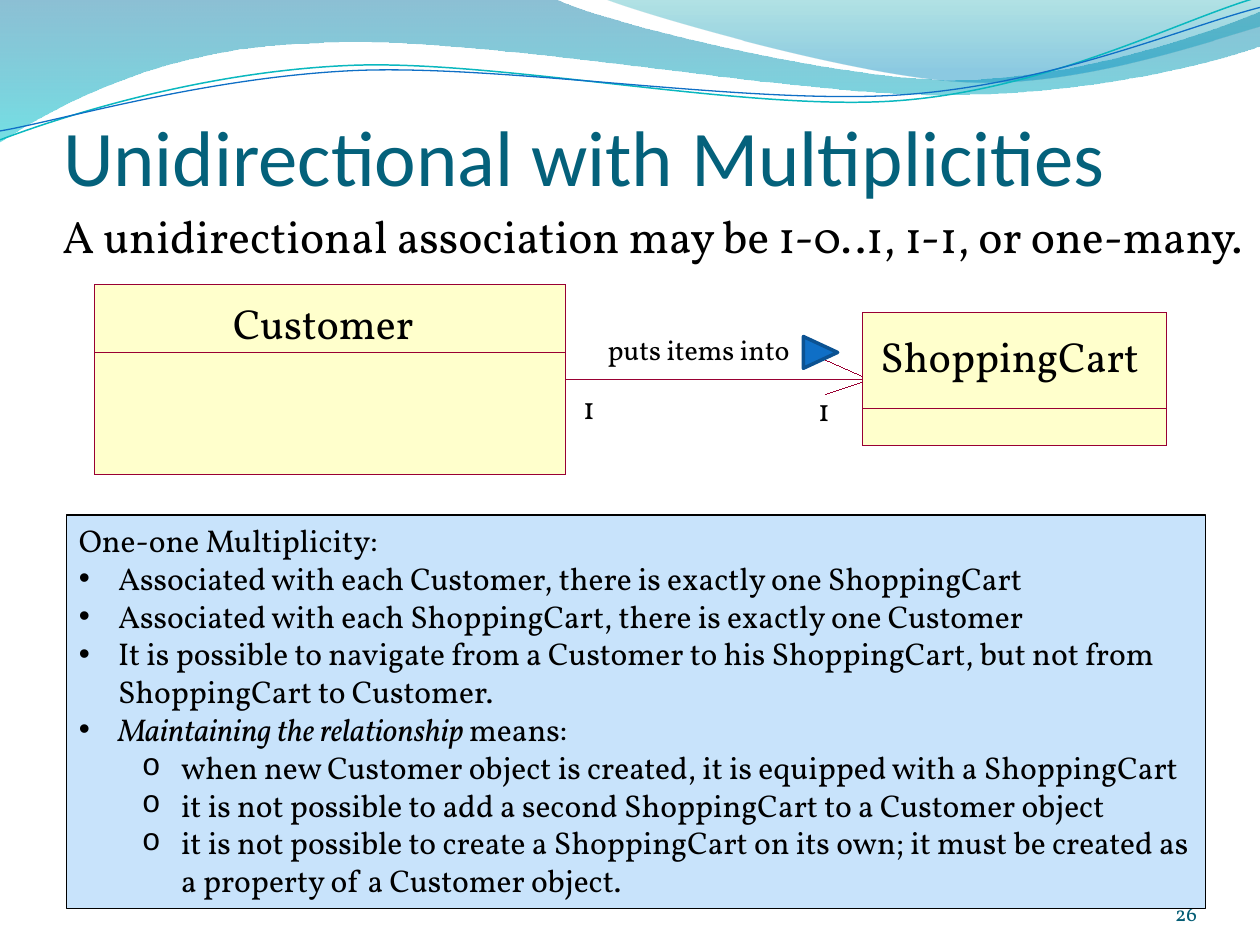
from math import cos, radians, sin

from lxml import etree
from pptx import Presentation
from pptx.dml.color import RGBColor
from pptx.enum.shapes import MSO_CONNECTOR, MSO_SHAPE
from pptx.enum.text import MSO_ANCHOR, MSO_AUTO_SIZE, PP_ALIGN
from pptx.oxml.ns import qn
from pptx.util import Cm, Pt

HAIRLINE = Pt(0.01)


def rgb(value):
    return RGBColor.from_string(value)


def format_runs(p, size, color="000000", font="Vollkorn"):
    for r in p.runs:
        r.font.name = font
        r.font.size = Pt(size)
        r.font.color.rgb = rgb(color)


prs = Presentation()
prs.slide_width, prs.slide_height = Cm(25.4), Cm(19.05)
s = prs.slides.add_slide(prs.slide_layouts[5])

# Header waves: two numbers make a straight step, six a Bézier curve (cm)
waves = [
    ((0, 0), [(11.18, -0.03), (12.09, 0.43, 16.87, 1.6, 19.25, 1.6),
              (21.67, 1.6, 24.33, 0.66, 25.4, 0.23), (25.43, 0.91),
              (24.97, 1.12, 22.1, 1.93, 18.95, 1.91),
              (15.8, 1.91, 9.7, 0.71, 6.53, 0.86),
              (3.28, 0.91, 1.17, 2.11, -0.03, 2.87), (0, 0)],
     [(0, "0074A1", 45), (1, "00C6CF", 55)], None),
    ((12.17, -0.03), [(12.93, 0.28, 17.32, 1.57, 19.53, 1.65),
                      (21.74, 1.75, 24.41, 0.81, 25.4, 0.53), (25.4, 0),
                      (12.17, -0.03)],
     [(0, "00A1A9", 30), (0.8, "008BBF", 45)], None),
    ((0, 2.82), [(1.22, 2.36, 4.01, 1.45, 7.04, 1.32),
                 (10.03, 1.19, 15.06, 2.26, 18.11, 2.03),
                 (21.16, 1.8, 23.83, 0.38, 25.35, -0.05)],
     None, ("0AB8BF", 0.85)),
    ((0, 2.64), [(1.19, 2.44, 4.17, 1.55, 7.19, 1.42),
                 (10.24, 1.3, 15.16, 2.13, 18.21, 1.91),
                 (21.23, 1.7, 23.9, 0.53, 25.4, 0.15)],
     None, ("0F6FC6", 0.75)),
]
TILT, CX, CY = 2.7, 12.68, 1.48
for start, segments, stops, line in waves:
    points = [start] + [seg[i:i + 2] for seg in segments for i in range(0, len(seg), 2)]
    if line:  # the thin waves lie level and are tilted as shapes
        a = radians(TILT)
        points = [(CX + (x - CX) * cos(a) - (y - CY) * sin(a),
                   CY + (x - CX) * sin(a) + (y - CY) * cos(a)) for x, y in points]
    points = [(Cm(x), Cm(y)) for x, y in points]
    builder = s.shapes.build_freeform(*points[0])
    builder.add_line_segments(points[1:], close=bool(stops))
    sp = builder.convert_to_shape()
    sp.shadow.inherit = False
    # Turn each run of three line steps into one cubic curve
    steps = iter(list(sp._element.spPr.iter(qn("a:lnTo"))))
    for seg in segments:
        first = next(steps)
        if len(seg) == 6:
            curve = etree.Element(qn("a:cubicBezTo"))
            first.addprevious(curve)
            for step in (first, next(steps), next(steps)):
                curve.append(step[0])
                step.getparent().remove(step)
    if stops:
        sp.line.fill.background()
        sp.fill.gradient()
        sp.fill.gradient_angle = 270
        for stop, (position, color, opacity) in zip(sp.fill.gradient_stops, stops):
            stop.position = position
            stop.color.rgb = rgb(color)
        for clr, (_, _, opacity) in zip(sp._element.spPr.iter(qn("a:srgbClr")), stops):
            etree.SubElement(clr, qn("a:alpha")).set("val", str(opacity * 1000))
    else:
        sp.rotation = 360 - TILT
        sp.fill.background()
        sp.line.color.rgb = rgb(line[0])
        sp.line.width = Pt(line[1])

# Title
title = s.shapes.title
title.left, title.top, title.width, title.height = Cm(1.27), Cm(1.91), Cm(22.86), Cm(2.16)
tf = title.text_frame
tf.text = "Unidirectional with Multiplicities"
tf.auto_size = MSO_AUTO_SIZE.NONE
tf.vertical_anchor = MSO_ANCHOR.BOTTOM
tf.margin_left = tf.margin_right = tf.margin_bottom = 0
tf.paragraphs[0].alignment = PP_ALIGN.LEFT
format_runs(tf.paragraphs[0], 45, "04617B", "Calibri")

# Class boxes with their lower compartments
boxes = []
for x, y, w, h, fill in [
    (1.9, 5.73, 9.5, 3.83, "FFFFCC"),
    (1.9, 7.1, 9.5, 2.46, None),
    (17.39, 6.31, 6.12, 2.67, "FFFFCC"),
    (17.39, 8.24, 6.12, 0.74, None),
]:
    sp = s.shapes.add_shape(MSO_SHAPE.RECTANGLE, Cm(x), Cm(y), Cm(w), Cm(h))
    sp.shadow.inherit = False
    if fill:
        sp.fill.solid()
        sp.fill.fore_color.rgb = rgb(fill)
    else:
        sp.fill.background()
    sp.line.color.rgb = rgb("990033")
    sp.line.width = HAIRLINE
    boxes.append(sp)
customer, _, cart, _ = boxes

# Association line and the two strokes of its open arrowhead
lines = []
for x1, y1, x2, y2 in [(11.4, 7.65, 17.39, 7.65),
                       (17.39, 7.7, 16.65, 7.95),
                       (17.39, 7.59, 16.65, 7.26)]:
    c = s.shapes.add_connector(MSO_CONNECTOR.STRAIGHT, Cm(x1), Cm(y1), Cm(x2), Cm(y2))
    c.line.color.rgb = rgb("990033")
    c.line.width = HAIRLINE
    etree.SubElement(c._element.spPr, qn("a:effectLst"))
    lines.append(c)
lines[0].begin_connect(customer, 3)
lines[0].end_connect(cart, 1)

# Reading direction marker
sp = s.shapes.add_shape(MSO_SHAPE.ISOSCELES_TRIANGLE, Cm(16.22), Cm(6.76), Cm(0.64), Cm(0.69))
sp.rotation = 90
sp.shadow.inherit = False
sp.fill.solid()
sp.fill.fore_color.rgb = rgb("0F6FC6")
sp.line.color.rgb = rgb("0B5292")
sp.line.width = Pt(2)

# Lead sentence, class names, labels and page number
for text, x, y, w, h, size, inset in [
    ("A unidirectional association may be 1-0..1, 1-1, or one-many.",
     1.01, 4.06, 24.38, 12.19, 26, True),
    ("Customer", 4.7, 5.99, 3.94, 1.02, 24, False),
    ("ShoppingCart", 17.75, 6.66, 5.49, 1.02, 24, False),
    ("puts items into", 12, 6.58, 4.27, 0.94, 16, True),
    ("1", 11.5, 7.7, 0.94, 1.02, 18, True),
    ("1", 16.24, 7.73, 0.89, 1.02, 18, True),
    ("26", 22.02, 17.65, 2.11, 1.02, 12, False),
]:
    tf = s.shapes.add_textbox(Cm(x), Cm(y), Cm(w), Cm(h)).text_frame
    tf.word_wrap = True
    if not inset:
        tf.margin_left = tf.margin_right = tf.margin_top = tf.margin_bottom = 0
    tf.text = text
    p = tf.paragraphs[0]
    format_runs(p, size)
    if size == 26:
        p.space_before = Pt(3)
    if size == 12:
        tf.vertical_anchor = MSO_ANCHOR.BOTTOM
        p.alignment = PP_ALIGN.RIGHT
        format_runs(p, size, "045D75")

# Explanation panel: bullet, text
sp = s.shapes.add_shape(MSO_SHAPE.RECTANGLE, Cm(1.34), Cm(10.38), Cm(22.96), Cm(7.94))
sp.shadow.inherit = False
sp.fill.solid()
sp.fill.fore_color.rgb = rgb("C8E3FB")
sp.line.color.rgb = rgb("000000")
sp.line.width = Pt(0.75)
tf = sp.text_frame
tf.word_wrap = True
tf.vertical_anchor = MSO_ANCHOR.TOP
bullets = {"•": (0, 0.79, "Arial"), "o": (1, 2.06, "Courier New")}
for i, (bullet, text) in enumerate([
    (None, "One-one Multiplicity:"),
    ("•", "Associated with each Customer, there is exactly one ShoppingCart"),
    ("•", "Associated with each ShoppingCart, there is exactly one Customer"),
    ("•", "It is possible to navigate from a Customer to his ShoppingCart, "
          "but not from ShoppingCart to Customer."),
    ("•", "Maintaining the relationship "),
    ("o", "when new Customer object is created, it is equipped with a ShoppingCart"),
    ("o", "it is not possible to add a second ShoppingCart to a Customer object"),
    ("o", "it is not possible to create a ShoppingCart on its own; "
          "it must be created as a property of a Customer object."),
]):
    p = tf.paragraphs[0] if i == 0 else tf.add_paragraph()
    p.text = text
    p.alignment = PP_ALIGN.LEFT
    if text.startswith("Maintaining"):
        p.runs[0].font.italic = True
        p.add_run().text = "means:"
    format_runs(p, 18)
    if bullet:
        p.level, margin, font = bullets[bullet]
        pPr = p._p.get_or_add_pPr()
        pPr.set("marL", str(Cm(margin)))
        pPr.set("indent", str(-Cm(0.79)))
        etree.SubElement(pPr, qn("a:buFont")).set("typeface", font)
        etree.SubElement(pPr, qn("a:buChar")).set("char", bullet)

prs.save("out.pptx")
